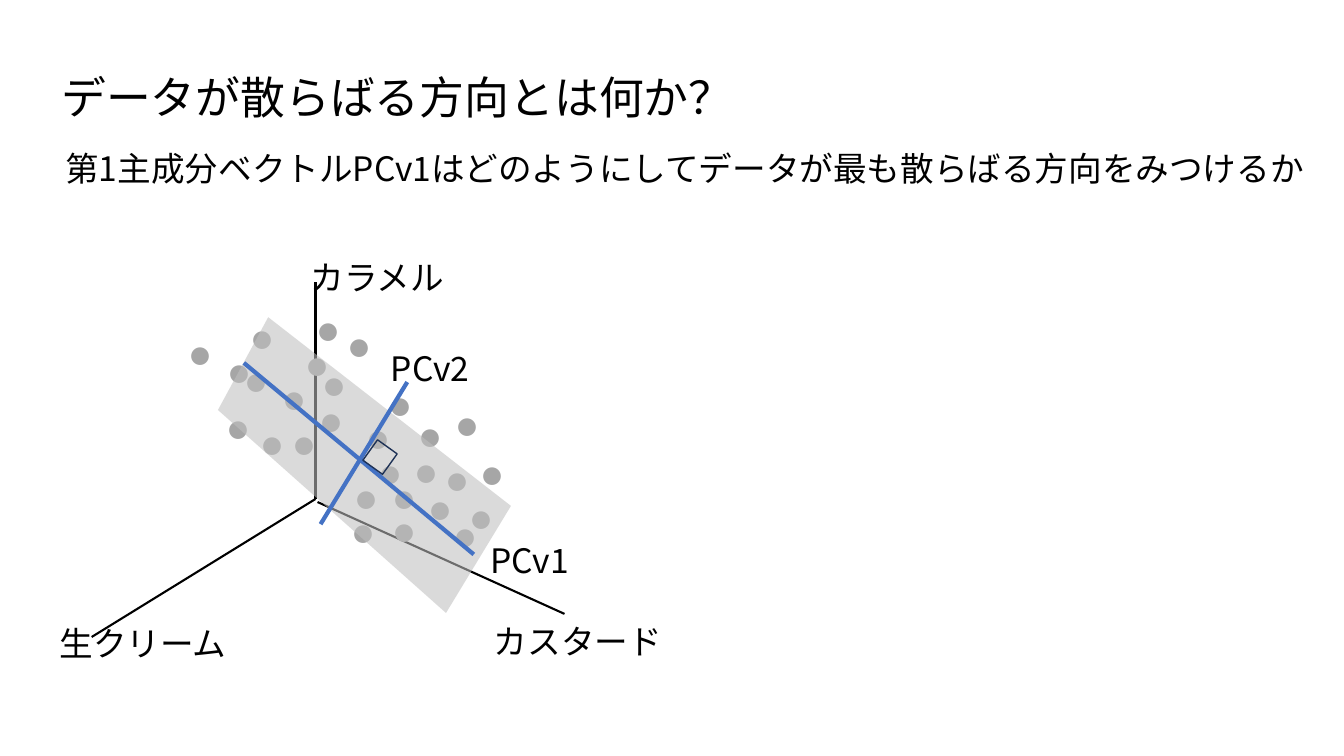
from lxml.etree import SubElement
from pptx import Presentation
from pptx.dml.color import RGBColor
from pptx.enum.shapes import MSO_CONNECTOR as CONN, MSO_SHAPE as SHAPE
from pptx.enum.text import MSO_AUTO_SIZE as AUTO
from pptx.oxml.ns import qn
from pptx.util import Pt

FONT = "Noto Sans CJK JP"
COLORS = {"text": "000000", "axis": "000000", "dot": "A6A6A6", "plane": "BFBFBF",
          "pc": "4472C4", "angle": "1E3256"}

prs = Presentation()
prs.slide_width, prs.slide_height = Pt(960), Pt(540)
s = prs.slides.add_slide(prs.slide_layouts[6])


def add_text(text, x, y, w, h, size=24, color="text", wrap=False, inset=True, rotation=0):
    tb = s.shapes.add_textbox(Pt(x), Pt(y), Pt(w), Pt(h))
    tb.rotation = rotation
    tf = tb.text_frame
    tf.word_wrap = wrap
    tf.auto_size = AUTO.SHAPE_TO_FIT_TEXT
    if not inset:
        tf.margin_left = tf.margin_top = tf.margin_right = tf.margin_bottom = 0
    r = tf.paragraphs[0].add_run()
    r.text = text
    r.font.size = Pt(size)
    r.font.name = FONT
    r.font.color.rgb = RGBColor.from_string(COLORS[color])
    SubElement(r.font._element, qn("a:ea"), typeface=FONT)


def add_line(x1, y1, x2, y2, color, width):
    c = s.shapes.add_connector(CONN.STRAIGHT, Pt(x1), Pt(y1), Pt(x2), Pt(y2))
    c.line.color.rgb = RGBColor.from_string(COLORS[color])
    c.line.width = Pt(width)
    SubElement(c._element.spPr, qn("a:effectLst"))


add_text("データが散らばる方向とは何か？", 36.7, 46, 499, 46, size=32)

# Axes and their labels
for ends in [(225.4, 201.6, 225.4, 356.4), (225.4, 356.4, 65.5, 455),
             (226.8, 358.6, 403.2, 438.5)]:
    add_line(*ends, "axis", 1.5)
for label, x, y, w in [("生クリーム", 42.5, 445, 121), ("カスタード", 352.8, 443.5, 121),
                       ("カラメル", 221.8, 183.6, 97.2)]:
    add_text(label, x, y, w, 28.8, inset=False)

# Data points: left, top, and a width where it is not the usual one
DOT_WIDTH = 28.8
dots = [
    (247, 345.6), (298.8, 301.7, 52.6), (168.5, 262.1), (280.8, 330.5, 39.6),
    (274.3, 369.4), (224.6, 265), (274.3, 345.6), (293, 301), (195.8, 275),
    (300.2, 353.5), (311.8, 332.6), (155.5, 295.2), (255.6, 302.4), (220.3, 225.4),
    (241.9, 236.9), (203, 306.7), (212.4, 250.6), (180, 306.7), (244.8, 370.1),
    (271.4, 279.4), (221.8, 290.2), (264.2, 327.6), (128.9, 242.6), (156.2, 255.6),
    (172.8, 231.1), (312.5, 375.1, 35.3), (331.2, 330.5, 35.3), (324, 362.2, 35.3),
]
for x, y, *width in dots:
    add_text("●", x, y, width[0] if width else DOT_WIDTH, 24.5,
             size=14, color="dot", wrap=True, rotation=136.6)

# Translucent plane spanned by the two components
corners = [(Pt(x), Pt(y)) for x, y in
           [(191.6, 226.6), (365, 361.4), (318.6, 437.9), (155.7, 292.9)]]
outline = s.shapes.build_freeform(*corners[0])
outline.add_line_segments(corners[1:], close=True)
plane = outline.convert_to_shape()
plane.shadow.inherit = False
plane.fill.solid()
plane.fill.fore_color.rgb = RGBColor.from_string(COLORS["plane"])
plane.line.fill.background()
SubElement(plane._element.spPr.find(".//" + qn("a:srgbClr")), qn("a:alpha"), val="57000")

# Principal components and the right angle between them
add_line(174.2, 259.2, 338.4, 396, "pc", 3)
add_line(290.9, 272.9, 229, 374.4, "pc", 3)
angle = s.shapes.add_shape(SHAPE.RECTANGLE, Pt(262.8), Pt(317.5), Pt(17.3), Pt(18))
angle.rotation = 35.6
angle.shadow.inherit = False
angle.fill.background()
angle.line.color.rgb = RGBColor.from_string(COLORS["angle"])
angle.line.width = Pt(1)
for label, x, y in [("PCv1", 343.4, 382.3), ("PCv2", 272.2, 244.8)]:
    add_text(label, x, y, 74.2, 36)

add_text("第1主成分ベクトルPCv1はどのようにしてデータが最も散らばる方向をみつけるか",
         39.6, 102.2, 913, 36, wrap=True)

prs.save("out.pptx")
